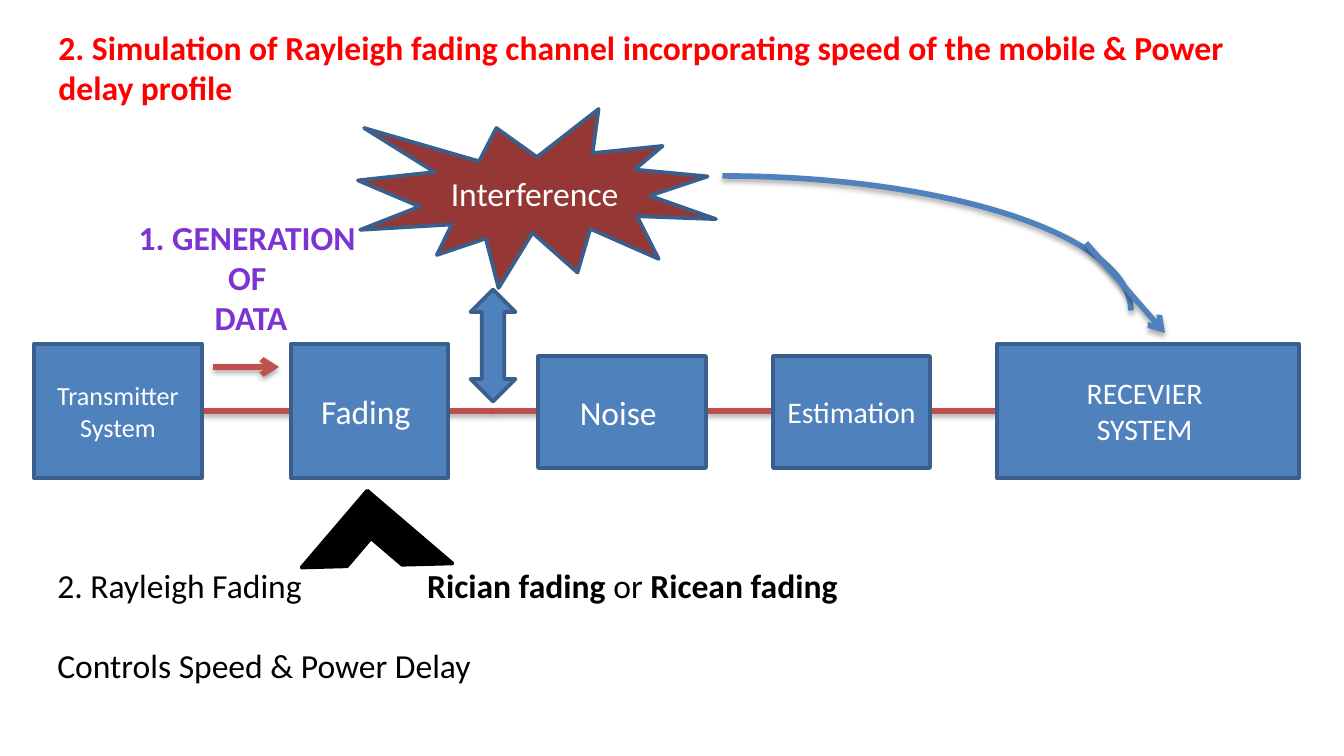
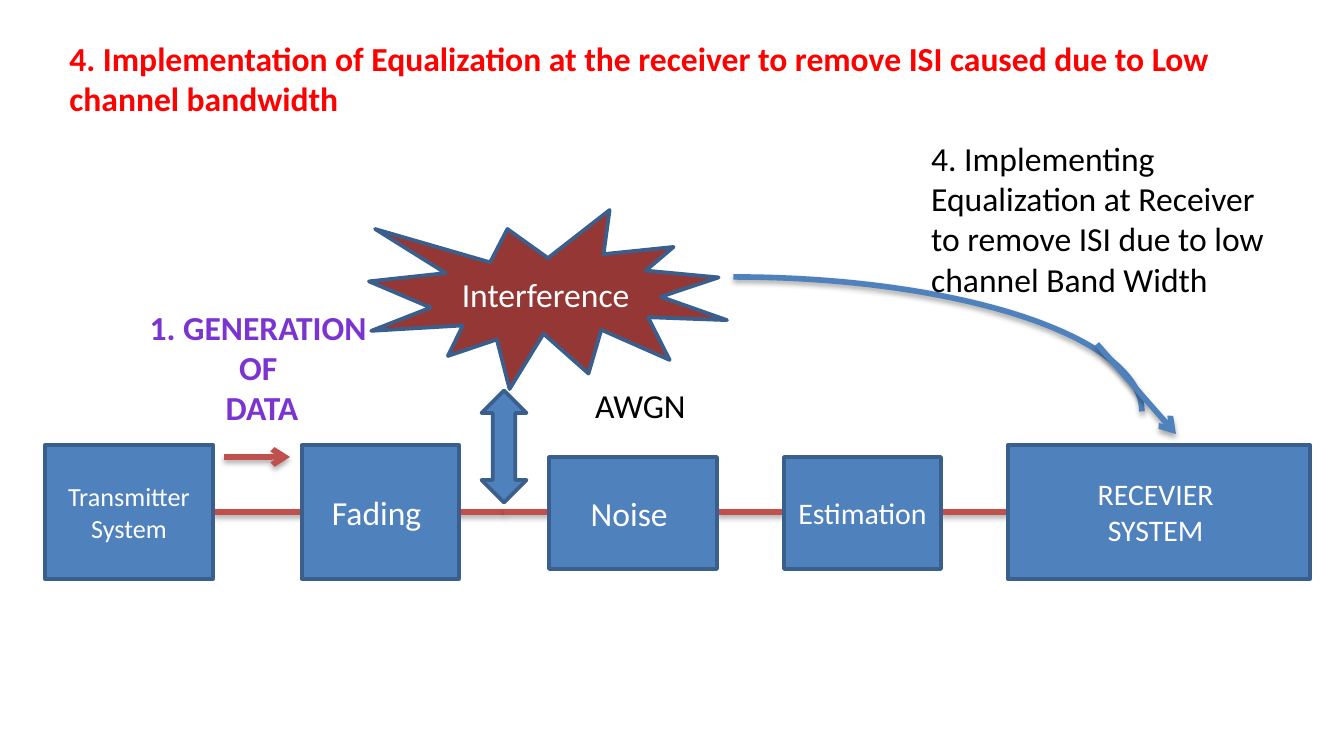
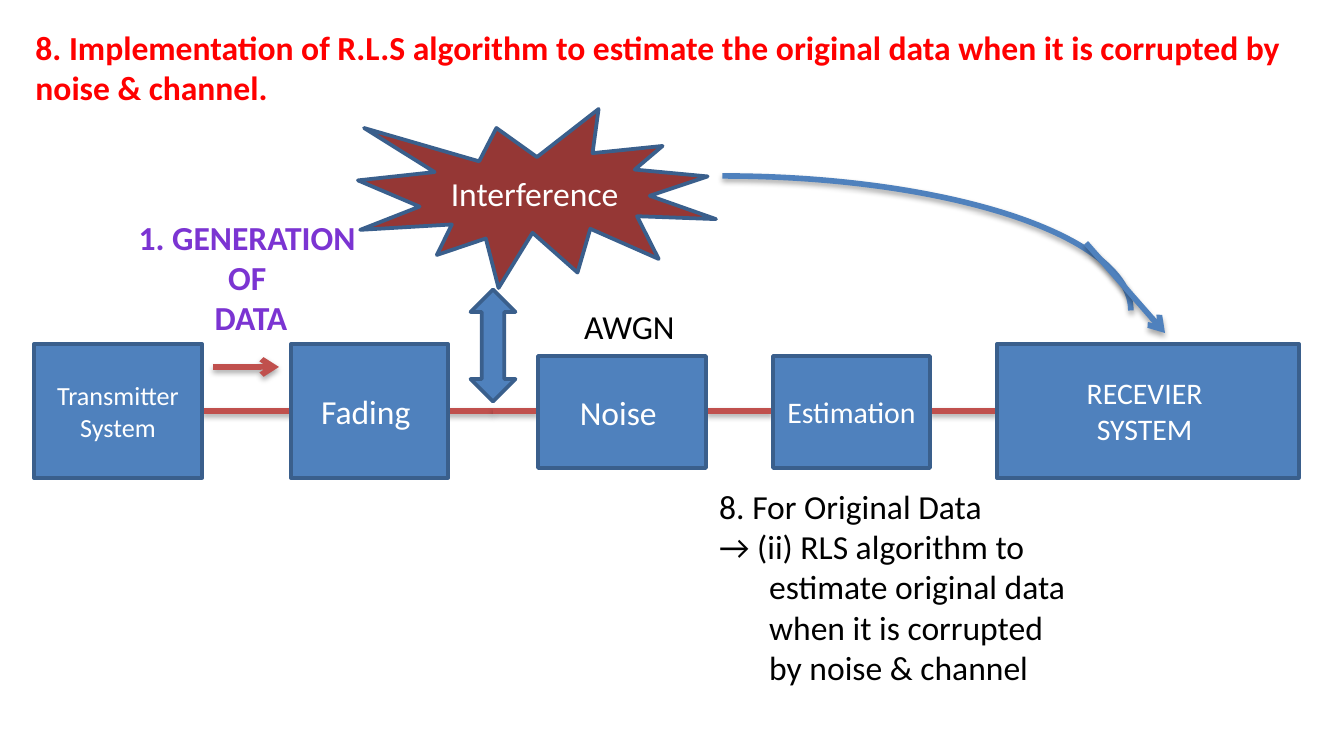
from lxml.etree import SubElement
from pptx import Presentation
from pptx.dml.color import RGBColor
from pptx.enum.shapes import MSO_CONNECTOR, MSO_SHAPE
from pptx.enum.text import MSO_ANCHOR, MSO_AUTO_SIZE, PP_ALIGN
from pptx.oxml.ns import qn
from pptx.util import Emu, Pt

SCALE = 914400 / 134.4  # EMU in one pixel
WIDE, HIGH = 1344, 756
FONT = "Calibri"
COLORS = {
    "box": "4F81BD", "edge": "3A5F8C", "link": "C0504D", "burst": "953735",
    "title": "FF0000", "label": "7B34D2", "text": "000000", "white": "FFFFFF",
}


def px(*vals):
    return [Emu(round(v * SCALE)) for v in vals]


def rgb(name):
    return RGBColor.from_string(COLORS[name])


def write(frame, paras, size=18, color="text", bold=False,
          align=PP_ALIGN.LEFT, anchor=MSO_ANCHOR.TOP, wrap=True):
    """Fill a frame; each paragraph is a string or a list of (text, bold)."""
    frame.word_wrap = wrap
    frame.auto_size = MSO_AUTO_SIZE.NONE
    frame.vertical_anchor = anchor
    for i, para in enumerate(paras):
        par = frame.add_paragraph() if i else frame.paragraphs[0]
        par.alignment = align
        runs = [(para, bold)] if isinstance(para, str) else para
        for text, heavy in runs:
            run = par.add_run()
            run.text = text
            run.font.name = FONT
            run.font.size = Pt(size)
            run.font.bold = heavy
            run.font.color.rgb = rgb(color)


def note(slide, area, paras, **style):
    box = slide.shapes.add_textbox(*px(*area))
    write(box.text_frame, paras, **style)
    return box.text_frame


def block(slide, kind, area, paras=(), size=18, fill="box", edge="edge", turn=0):
    shape = slide.shapes.add_shape(kind, *px(*area))
    shape.shadow.inherit = False
    shape.fill.solid()
    shape.fill.fore_color.rgb = rgb(fill)
    shape.line.color.rgb = rgb(edge)
    shape.line.width = Pt(2)
    shape.rotation = turn
    write(shape.text_frame, paras, size, "white",
          align=PP_ALIGN.CENTER, anchor=MSO_ANCHOR.MIDDLE)


def stroke(shape, color):
    """Thick line with a soft shadow below it."""
    shape.line.color.rgb = rgb(color)
    shape.line.width = Pt(3)
    props = shape._element.spPr
    for old in props.findall(qn("a:effectLst")):
        props.remove(old)
    cast = SubElement(SubElement(props, qn("a:effectLst")), qn("a:outerShdw"),
                      blurRad=str(Pt(3.1)), dist=str(Pt(1.8)),
                      dir="5400000", rotWithShape="0")
    tint = SubElement(cast, qn("a:srgbClr"), val=COLORS["text"])
    SubElement(tint, qn("a:alpha"), val="35000")


def link(slide, start, end, color="link", arrow=False):
    line = slide.shapes.add_connector(MSO_CONNECTOR.STRAIGHT, *px(*start, *end))
    stroke(line, color)
    if arrow:
        SubElement(line.line._get_or_add_ln(), qn("a:tailEnd"), type="arrow")


def curve(slide, area):
    arc = slide.shapes.add_shape(MSO_SHAPE.ARC, *px(*area))
    arc.fill.background()
    stroke(arc, "box")


def start(deck, text, area):
    slide = deck.slides.add_slide(deck.slide_layouts[5])
    title = slide.shapes.title
    title.left, title.top, title.width, title.height = px(*area)
    write(title.text_frame, [text], color="title", bold=True)
    return slide


def system(slide, dx=0, dy=0, drop=0):
    """Block diagram moved by dx, dy; drop moves the data label."""
    def at(x, y, *size):
        return (x + dx, y + dy, *size)

    # Links between the blocks
    for left, right in ((202, 493), (493, 538), (706, 773), (930, 997)):
        link(slide, at(left, 411), at(right, 411))
    # Blocks of the chain
    for x, y, w, h, size, *paras in (
        (34, 344, 168, 134, 14, "Transmitter System"),
        (291, 344, 157, 134, 18, "Fading "),
        (538, 356, 168, 112, 18, "Noise "),
        (773, 356, 157, 112, 16, "Estimation "),
        (997, 344, 302, 134, 16, "RECEVIER ", "SYSTEM "),
    ):
        block(slide, MSO_SHAPE.RECTANGLE, at(x, y, w, h), paras, size)
    # Interference and its paths
    block(slide, MSO_SHAPE.EXPLOSION1, at(358, 109, 358, 179),
          ["Interference"], fill="burst")
    curve(slide, at(314, 176, 817, 269))
    block(slide, MSO_SHAPE.LEFT_RIGHT_ARROW, at(437, 323, 112, 45), turn=90)
    link(slide, at(1086, 243), at(1165, 333), "box", arrow=True)
    # Data label
    note(slide, (124 + dx, 210 + drop, 254, 136),
         ["1. GENERATION ", "OF ", "DATA"], color="label", bold=True,
         align=PP_ALIGN.CENTER, wrap=False)
    link(slide, (213 + dx, 367 + drop), (279 + dx, 367 + drop), arrow=True)


def fading(deck):
    slide = start(deck, "2. Simulation of Rayleigh fading channel incorporating "
                  "speed of the mobile & Power delay profile ", (45, 20, 1266, 95))
    system(slide)
    block(slide, MSO_SHAPE.HALF_FRAME, (321, 515, 112, 101),
          fill="text", edge="text", turn=40.5)
    frame = note(slide, (44, 558, 446, 176),
                 ["2. Rayleigh Fading", "Controls Speed & Power Delay"], wrap=False)
    frame.paragraphs[1].space_before = Pt(21.6)
    note(slide, (414, 558, 457, 54),
         [[("Rician fading", True), ("\u00a0or\u00a0", False),
           ("Ricean fading", True)]], wrap=False)


def equalizer(deck):
    slide = start(deck, "4. Implementation of Equalization at the receiver to remove "
                  "ISI caused due to Low channel bandwidth ", (56, 31, 1232, 95))
    system(slide, 11, 101, 90)
    note(slide, (582, 378, 118, 54), ["AWGN"], wrap=False)
    note(slide, (918, 131, 380, 176),
         ["4. Implementing Equalization at Receiver to remove ISI "
          "due to low channel Band Width"])


def recursive(deck):
    slide = start(deck, "8. Implementation of R.L.S algorithm to estimate the original "
                  "data when it is corrupted by noise & channel. ", (22, 20, 1300, 95))
    system(slide)
    note(slide, (571, 299, 118, 54), ["AWGN"], wrap=False)
    frame = note(slide, (706, 479, 380, 218),
                 ["8. For Original Data",
                  "\u2192 (ii) RLS algorithm to estimate original data "
                  "when it is corrupted by noise & channel"])
    # Hanging indent
    hang = px(50)[0]
    for par in frame.paragraphs:
        props = par._p.get_or_add_pPr()
        props.set("marL", str(hang))
        props.set("indent", str(-hang))


def main():
    deck = Presentation()
    deck.slide_width, deck.slide_height = px(WIDE, HIGH)
    fading(deck)
    equalizer(deck)
    recursive(deck)
    deck.save("out.pptx")


main()
